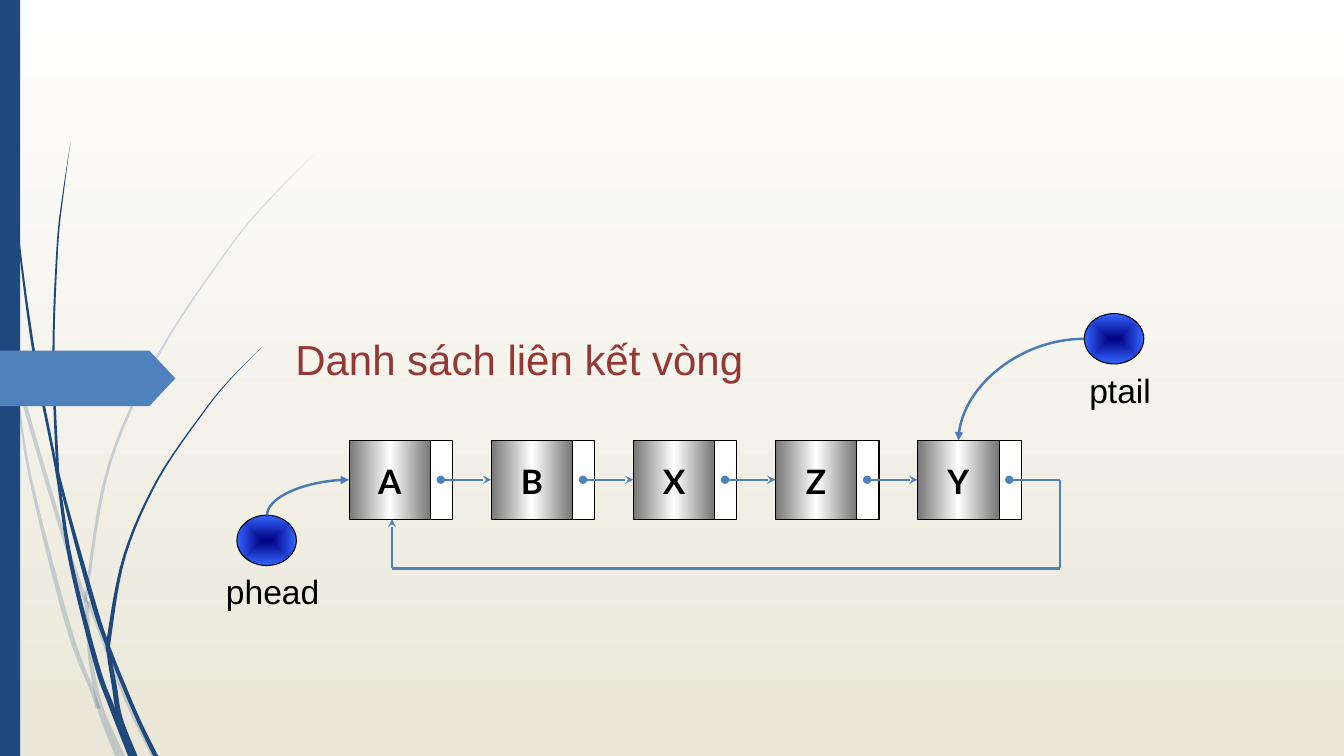
"""Draw a slide showing a circular linked list with head and tail pointers."""
from dataclasses import dataclass

from lxml import etree
from pptx import Presentation, util as u
from pptx.dml.color import RGBColor
from pptx.enum import shapes, text
from pptx.oxml import ns

COLORS = {
    "navy": "1F497D", "blue": "4F81BD", "curve": "4B7BB5", "title": "953735",
    "black": "000000", "white": "FFFFFF", "sand": "EAE7D8", "steel": "767676",
    "core": "000080", "rim": "3366FF",
}
KIND = shapes.MSO_SHAPE
LINE = shapes.MSO_CONNECTOR
STEPS = 6
NODE_X, NODE_Y, PITCH = 249.3, 314.6, 101.5
DATA_W, LINK_W, NODE_H = 58.3, 15.8, 56.2
MID_Y = NODE_Y + NODE_H / 2


@dataclass
class Box:
    x: float
    y: float
    w: float
    h: float


@dataclass
class Blade:
    points: list[tuple[float, float, float]]
    alpha: int = 100


@dataclass
class Pointer:
    name: str
    x: float
    y: float


@dataclass
class Arrow:
    start: tuple[float, float]
    end: tuple[float, float]
    head: str = ""
    tail: str = ""
    color: str = "blue"
    curved: bool = False


BLADES = [
    Blade([(0, 209, 3), (12, 268, 3), (43, 375, 3), (60.5, 427, 3), (65, 434, 3),
           (90, 499, 3), (110, 540, 4)], 20),
    Blade([(8, 252, 0), (11.5, 271, 1), (21, 338, 2), (48.5, 446.5, 3.6),
           (66.5, 495, 3), (70, 506, 4)], 20),
    Blade([(224.6, 110, 0), (193, 142, 0.8), (164.5, 176, 1), (114.5, 251, 1.5),
           (78, 332, 2.2), (62.3, 420.5, 2.2), (62, 432, 3), (64, 465, 3),
           (68.4, 492, 3.6), (73.4, 511, 5), (85.7, 540, 7)], 20),
    Blade([(2.5, 0, 0.5), (5.4, 79, 0.7), (13, 168, 1.2), (24.8, 255.6, 2),
           (40.3, 335.5, 2), (50.4, 400.7, 2.9), (68.8, 474, 3.6),
           (79.5, 504, 4), (94, 540, 5)]),
    Blade([(50.4, 101.5, 0), (45, 139, 0.8), (41, 176, 1.2), (38.2, 251, 1.5),
           (40.7, 325, 2), (44, 348, 2), (65.2, 425.5, 3.4), (76.5, 460, 3),
           (96.5, 509, 3), (111.2, 540, 3.6)]),
    Blade([(187.6, 247.7, 0), (166.3, 269, 0.7), (147.2, 292, 1), (113, 342, 1.5),
           (89, 397, 2), (78, 455, 3), (78, 468, 3), (81.7, 490, 3.6),
           (85.7, 512.6, 3.6), (97, 540, 2.5)]),
]


def rgb(name: str) -> RGBColor:
    """Return a named colour."""
    return RGBColor.from_string(COLORS[name])


def smooth(points: list) -> list:
    """Sample a Catmull-Rom curve through the points."""
    ends = [points[0], *points, points[-1]]
    out = []
    for a, b, c, d in zip(ends, ends[1:], ends[2:], ends[3:]):
        for t in (i / STEPS for i in range(STEPS)):
            out.append([
                q + t / 2 * (r - p + t * (2 * p - 5 * q + 4 * r - v + t * (3 * (q - r) + v - p)))
                for p, q, r, v in zip(a, b, c, d)])
    return out + [points[-1]]


def finish(sp, fill: str, outlined: bool = False) -> None:
    """Set a flat fill and an optional thin black outline."""
    sp.shadow.inherit = False
    sp.fill.solid()
    sp.fill.fore_color.rgb = rgb(fill)
    if outlined:
        sp.line.color.rgb = rgb("black")
        sp.line.width = u.Pt(0.75)
    else:
        sp.line.fill.background()


def add_blade(s, blade: Blade) -> None:
    """Draw a tapering blade of grass."""
    curve = smooth(blade.points)
    edge = [(x - w / 2, y) for x, y, w in curve] + [(x + w / 2, y) for x, y, w in curve[::-1]]
    pts = [(u.Pt(x), u.Pt(y)) for x, y in edge]
    builder = s.shapes.build_freeform(*pts[0])
    builder.add_line_segments(pts[1:])
    sp = builder.convert_to_shape()
    finish(sp, "navy")
    if blade.alpha < 100:
        color = sp.element.spPr.find(".//" + ns.qn("a:srgbClr"))
        etree.SubElement(color, ns.qn("a:alpha"), val=str(blade.alpha * 1000))


def add_box(s, kind, box: Box, fill: str, outlined: bool = False):
    """Draw a preset shape."""
    sp = s.shapes.add_shape(kind, u.Pt(box.x), u.Pt(box.y), u.Pt(box.w), u.Pt(box.h))
    finish(sp, fill, outlined)
    return sp


def set_gradient(sp, stops: list[str], radial: bool = False) -> None:
    """Replace a flat fill by evenly spaced gradient stops."""
    grad = etree.Element(ns.qn("a:gradFill"), rotWithShape="1")
    gs_list = etree.SubElement(grad, ns.qn("a:gsLst"))
    for i, name in enumerate(stops):
        gs = etree.SubElement(gs_list, ns.qn("a:gs"), pos=str(100000 * i // (len(stops) - 1)))
        etree.SubElement(gs, ns.qn("a:srgbClr"), val=COLORS[name])
    if radial:
        way = etree.SubElement(grad, ns.qn("a:path"), {"path": "shape"})
        etree.SubElement(way, ns.qn("a:fillToRect"), {k: "50000" for k in "ltrb"})
    else:
        etree.SubElement(grad, ns.qn("a:lin"), ang="0", scaled="1")
    pr = sp.element.spPr
    pr.replace(pr.find(ns.qn("a:solidFill")), grad)


def write(sp, words: str, size: float, color: str, font: str = "Arial",
          align=text.PP_ALIGN.CENTER, anchor=text.MSO_ANCHOR.TOP, bold: bool = False) -> None:
    """Put one run of text into a shape."""
    tf = sp.text_frame
    tf.word_wrap = True
    tf.vertical_anchor = anchor
    p = tf.paragraphs[0]
    p.alignment = align
    r = p.add_run()
    r.text = words
    r.font.size, r.font.name, r.font.bold = u.Pt(size), font, bold
    r.font.color.rgb = rgb(color)


def add_textbox(s, box: Box):
    """Add an empty text box."""
    return s.shapes.add_textbox(u.Pt(box.x), u.Pt(box.y), u.Pt(box.w), u.Pt(box.h))


def add_arrow(s, a: Arrow) -> None:
    """Draw a straight line or a quarter curve with its end marks."""
    kind = LINE.CURVE if a.curved else LINE.STRAIGHT
    c = s.shapes.add_connector(kind, *(u.Pt(v) for v in a.start + a.end))
    c.line.color.rgb = rgb(a.color)
    c.line.width = u.Pt(1.75)
    pr = c.element.spPr
    if a.curved:
        pr.find(ns.qn("a:prstGeom")).set("prst", "curvedConnector2")
    for tag, mark in (("a:headEnd", a.head), ("a:tailEnd", a.tail)):
        if mark:
            etree.SubElement(pr.find(ns.qn("a:ln")), ns.qn(tag), type=mark)
    etree.SubElement(pr, ns.qn("a:effectLst"))


def add_pointer(s, ptr: Pointer) -> None:
    """Draw a pointer ball with its name below."""
    ball = add_box(s, KIND.OVAL, Box(ptr.x, ptr.y, 42.5, 36), "rim", True)
    set_gradient(ball, ["core", "rim"], radial=True)
    write(add_textbox(s, Box(ptr.x - 17.6, ptr.y + 36.5, 86.4, 36)), ptr.name, 24, "black")


def add_node(s, x: float, label: str) -> None:
    """Draw a list node with its data and link cells."""
    add_box(s, KIND.RECTANGLE, Box(x + DATA_W, NODE_Y, LINK_W, NODE_H), "white", True)
    sp = add_box(s, KIND.RECTANGLE, Box(x, NODE_Y, DATA_W, NODE_H), "white", True)
    set_gradient(sp, ["steel", "white", "steel"])
    tf = sp.text_frame
    tf.margin_left = tf.margin_right = tf.margin_bottom = 0
    tf.margin_top = u.Pt(2.2)
    write(sp, label, 24, "black", "Lato", anchor=text.MSO_ANCHOR.MIDDLE, bold=True)


prs = Presentation()
prs.slide_width, prs.slide_height = u.Pt(960), u.Pt(540)
s = prs.slides.add_slide(prs.slide_layouts[6])
bg = s.background.fill
bg.gradient()
bg.gradient_angle = 270
for stop, name in zip(bg.gradient_stops, ("white", "sand")):
    stop.color.rgb = rgb(name)

for blade in BLADES:
    add_blade(s, blade)
add_box(s, KIND.RECTANGLE, Box(0, 0, 14.4, 540), "navy")
flag = add_box(s, KIND.PENTAGON, Box(0, 250.5, 125.3, 39.6), "blue")
flag.adjustments[0] = 0.47
write(add_textbox(s, Box(203.8, 162, 702, 116)), "Danh sách liên kết vòng", 30, "title",
      align=text.PP_ALIGN.LEFT, anchor=text.MSO_ANCHOR.BOTTOM)

for ptr in (Pointer("ptail", 774.5, 224), Pointer("phead", 169.2, 368)):
    add_pointer(s, ptr)
nodes = [(NODE_X + PITCH * i, label) for i, label in enumerate("ABXZY")]
for x, label in nodes:
    add_node(s, x, label)

links = [Arrow((x + 65.6, MID_Y), (x + PITCH, MID_Y), "oval", "stealth") for x, _ in nodes[:-1]]
last_x = nodes[-1][0]
turns = [(last_x + 65.6, MID_Y), (757, MID_Y), (757, 406), (280, 406), (280, NODE_Y + NODE_H)]
loop = [Arrow(a, b) for a, b in zip(turns, turns[1:])]
loop[0].head, loop[-1].tail = "oval", "stealth"
curves = [
    Arrow((NODE_X, MID_Y), (190.8, 368), head="triangle", color="curve", curved=True),
    Arrow((774.5, 242), (684.7, NODE_Y), tail="triangle", color="curve", curved=True),
]
for arrow in curves + links + loop:
    add_arrow(s, arrow)

prs.save("out.pptx")
